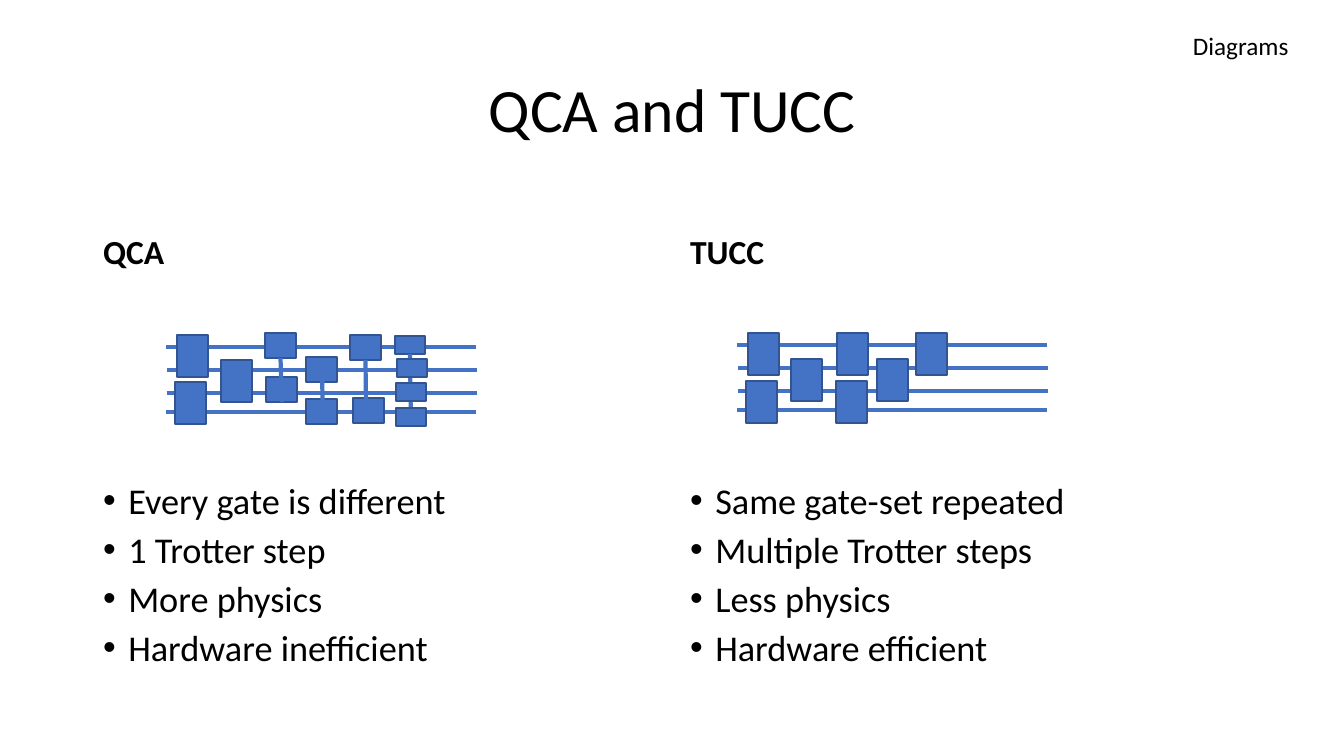
from dataclasses import dataclass

from lxml import etree
from pptx import Presentation
from pptx import util as u
from pptx.dml.color import RGBColor
from pptx.enum import shapes, text
from pptx.oxml.ns import qn

EMU_PER_PX = 914400 / 100.8


@dataclass(frozen=True)
class Theme:
    font: str = "Calibri"
    ink: RGBColor = RGBColor(0, 0, 0)
    gate: RGBColor = RGBColor(0x44, 0x72, 0xC4)
    outline: RGBColor = RGBColor(0x32, 0x54, 0x91)
    title: float = 44
    heading: float = 24
    bullet: float = 25.9
    label: float = 18
    wire: float = 2.25
    link: float = 3


THEME = Theme()

GATE_SIZES = {"tall": (31, 42), "small": (31, 25), "tiny": (30, 18)}
WIRES = ((0, 15), (1, 38), (1, 61), (0, 80))
WIRE_LENGTH = 310

# Parts run from back to front. Gate: kind, x, y.
# Link: "link", start, end; a whole-number start is the gate it hangs from.
QCA_PARTS = (
    ("tall", 11, 3), ("tall", 9, 50), ("tall", 55, 28),
    ("small", 99, 1), ("small", 100, 45),
    ("small", 140, 25), ("small", 140, 67),
    ("small", 184, 3), ("small", 187, 66),
    ("link", 3, (116, 70)), ("link", (156, 40), (157, 85)), ("link", 7, (200, 71)),
    ("tiny", 229, 4), ("link", 9, (245, 95)),
    ("tiny", 230, 51), ("tiny", 230, 76), ("tiny", 231, 27),
)
TUCC_PARTS = (
    ("tall", 11, 3), ("tall", 9, 51), ("tall", 54, 29),
    ("tall", 100, 3), ("tall", 99, 51), ("tall", 140, 29), ("tall", 179, 3),
)


def px(n):
    return u.Emu(round(n * EMU_PER_PX))


def place(sp, x, y, w, h):
    sp.left, sp.top, sp.width, sp.height = px(x), px(y), px(w), px(h)


def write(sp, lines, size, bold=False, align=text.PP_ALIGN.LEFT,
          anchor=text.MSO_ANCHOR.TOP, spacing=1.0, gap=0, bullet=False):
    tf = sp.text_frame
    tf.word_wrap = True
    tf.auto_size = text.MSO_AUTO_SIZE.NONE
    tf.vertical_anchor = anchor
    for i, line in enumerate(lines):
        p = tf.paragraphs[0] if i == 0 else tf.add_paragraph()
        p.alignment = align
        p.line_spacing = spacing
        p.space_before = u.Pt(gap if i else 0)
        if bullet:
            pPr = p._p.get_or_add_pPr()
            pPr.set("marL", str(u.Inches(0.25)))
            pPr.set("indent", str(-u.Inches(0.25)))
            etree.SubElement(pPr, qn("a:buFont")).set("typeface", "Arial")
            etree.SubElement(pPr, qn("a:buChar")).set("char", "•")
        r = p.add_run()
        r.text = line
        r.font.name = THEME.font
        r.font.size = u.Pt(size)
        r.font.bold = bold
        r.font.color.rgb = THEME.ink


def add_line(s, start, end, width):
    line = s.shapes.add_connector(
        shapes.MSO_CONNECTOR.STRAIGHT, *(px(n) for n in (*start, *end)))
    line.line.color.rgb = THEME.gate
    line.line.width = u.Pt(width)
    etree.SubElement(line._element.spPr, qn("a:effectLst"))
    return line


def add_gate(s, x, y, w, h):
    sp = s.shapes.add_shape(shapes.MSO_SHAPE.RECTANGLE, px(x), px(y), px(w), px(h))
    sp.shadow.inherit = False
    sp.fill.solid()
    sp.fill.fore_color.rgb = THEME.gate
    sp.line.color.rgb = THEME.outline
    sp.line.width = u.Pt(1)
    return sp


def add_circuit(s, x, y, parts):
    """Draw the four wires, then the gates and links over them."""
    for dx, dy in WIRES:
        add_line(s, (x + dx, y + dy), (x + dx + WIRE_LENGTH, y + dy), THEME.wire)
    gates = []
    for kind, a, b in parts:
        if kind != "link":
            gates.append(add_gate(s, x + a, y + b, *GATE_SIZES[kind]))
            continue
        end = (x + b[0], y + b[1])
        joined = isinstance(a, int)
        start = end if joined else (x + a[0], y + a[1])
        link = add_line(s, start, end, THEME.link)
        if joined:
            link.begin_connect(gates[a], 2)


def add_column(s, box, holders, heading, bullets, circuit, parts):
    x, y, w, h = box
    head, body = holders
    place(head, x, y, w, 91)
    write(head, [heading], THEME.heading, bold=True, spacing=0.9,
          anchor=text.MSO_ANCHOR.BOTTOM)
    place(body, x, y + 296, w, h - 296)
    write(body, bullets, THEME.bullet, spacing=0.8, gap=10, bullet=True)
    add_circuit(s, x + circuit[0], y + circuit[1], parts)


def add_comparison(prs):
    s = prs.slides.add_slide(prs.slide_layouts[4])
    title, *holders = s.placeholders
    place(title, 93, 40, 1159, 146)
    write(title, ["QCA and TUCC"], THEME.title, align=text.PP_ALIGN.CENTER,
          anchor=text.MSO_ANCHOR.MIDDLE, spacing=0.9)
    add_column(s, (93, 186, 568, 496), holders[:2], "QCA",
               ["Every gate is different", "1 Trotter step",
                "More physics", "Hardware inefficient"],
               (73, 146), QCA_PARTS)
    add_column(s, (680, 186, 572, 496), holders[2:], "TUCC",
               ["Same gate-set repeated", "Multiple Trotter steps",
                "Less physics", "Hardware efficient"],
               (57, 144), TUCC_PARTS)
    label = s.shapes.add_textbox(px(1183), px(25), px(124), px(40))
    write(label, ["Diagrams"], THEME.label)


def main():
    prs = Presentation()
    prs.slide_width, prs.slide_height = px(1344), px(756)
    add_comparison(prs)
    prs.save("out.pptx")


if __name__ == "__main__":
    main()
